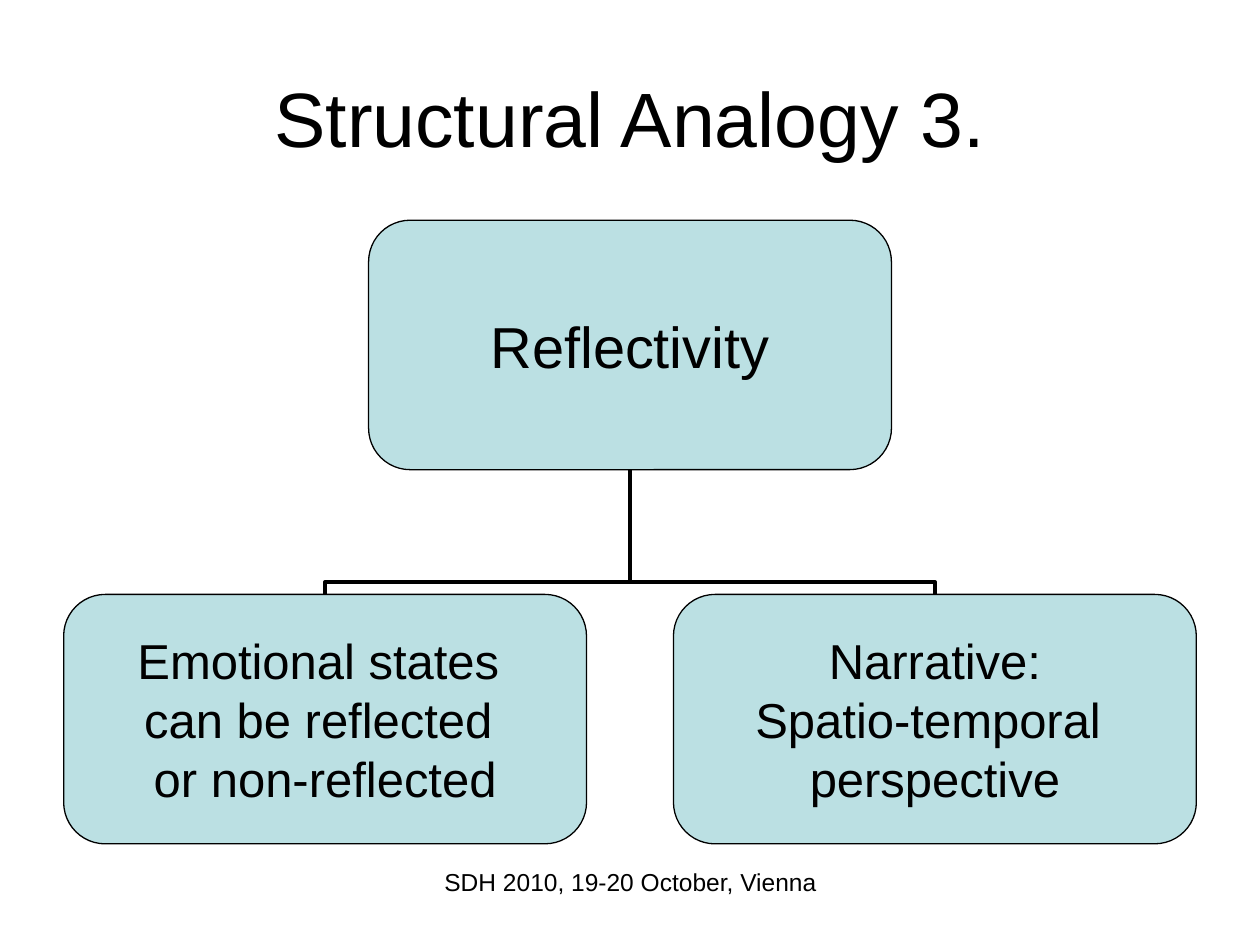
from lxml.etree import SubElement
from pptx import Presentation
from pptx.dml.color import RGBColor
from pptx.enum.shapes import MSO_CONNECTOR as Link, MSO_SHAPE as Shape
from pptx.enum.text import MSO_ANCHOR as Anchor, PP_ALIGN as Align
from pptx.oxml.ns import qn
from pptx.util import Inches, Pt


def color(hex_code):
    """Turn a hex string into a colour."""
    return RGBColor.from_string(hex_code)


class Chart:
    """Style and current slide of a small hierarchy diagram."""

    font, ink, fill = "Arial", "000000", "BBE0E3"
    box_width, box_height = 0.415, 0.264

    def __init__(self, deck):
        """Start a slide with a title only."""
        self.width, self.height = deck.slide_width, deck.slide_height
        self.slide = deck.slides.add_slide(deck.slide_layouts[5])

    def area(self, left, top, width, height):
        """Convert shares of the slide into lengths."""
        return (int(left * self.width), int(top * self.height),
                int(width * self.width), int(height * self.height))

    def label(self, frame, text, size, margins=(0.1, 0.05), wrap=True):
        """Fill a frame with centred paragraphs in the slide's style."""
        frame.text = text
        frame.word_wrap = wrap
        frame.margin_left = frame.margin_right = Inches(margins[0])
        frame.margin_top = frame.margin_bottom = Inches(margins[1])
        for paragraph in frame.paragraphs:
            paragraph.alignment = Align.CENTER
            for run in paragraph.runs:
                run.font.name, run.font.size = self.font, Pt(size)
                run.font.color.rgb = color(self.ink)

    def title(self, text):
        """Place the slide title."""
        heading = self.slide.shapes.title
        heading.left, heading.top, heading.width, heading.height = self.area(
            0.05, 0.04, 0.9, 1 / 6)
        self.label(heading.text_frame, text, 44)
        heading.text_frame.vertical_anchor = Anchor.MIDDLE

    def footer(self, text):
        """Place the event line at the bottom centre."""
        event = self.slide.shapes.add_textbox(*self.area(0.342, 0.911, 0.317, 0.069))
        self.label(event.text_frame, text, 14)

    def node(self, center, top, text, size):
        """Add a rounded box centred on a share of the width."""
        box = self.slide.shapes.add_shape(Shape.ROUNDED_RECTANGLE, *self.area(
            center - self.box_width / 2, top, self.box_width, self.box_height))
        box.shadow.inherit = False
        box.fill.solid()
        box.fill.fore_color.rgb = color(self.fill)
        box.line.color.rgb = color(self.ink)
        box.line.width = Pt(0.75)
        self.label(box.text_frame, text, size, (0, 0), wrap=False)
        box.text_frame.vertical_anchor = Anchor.MIDDLE
        return box

    def branch(self, child, parent, bend=0.098):
        """Join a child's top to its parent's bottom with an elbow."""
        start_x, end_x = (box.left + box.width // 2 for box in (child, parent))
        start_y, end_y = child.top, parent.top + parent.height
        rise, run = start_y - end_y, abs(end_x - start_x)
        elbow = self.slide.shapes.add_connector(Link.ELBOW, start_x, start_y, end_x, end_y)
        elbow.begin_connect(child, 0)
        elbow.end_connect(parent, 2)
        elbow.left = (start_x + end_x - rise) // 2
        elbow.top = (start_y + end_y - run) // 2
        elbow.width, elbow.height = rise, run
        elbow.line.color.rgb = color(self.ink)
        elbow.line.width = Pt(2.25)
        properties = elbow._element.spPr
        turn = properties.find(qn("a:xfrm"))
        turn.set("rot", str(270 * 60000))
        turn.set("flipH", "0")
        turn.set("flipV", str(int(start_x > end_x)))
        geometry = properties.find(qn("a:prstGeom"))
        adjustments = geometry.find(qn("a:avLst"))
        if adjustments is None:
            adjustments = SubElement(geometry, qn("a:avLst"))
        SubElement(adjustments, qn("a:gd"), name="adj1", fmla=f"val {round(bend * 100000)}")
        SubElement(properties, qn("a:effectLst"))


def main():
    """Build and save the slide."""
    deck = Presentation()
    deck.slide_width, deck.slide_height = Inches(10), Inches(7.5)
    chart = Chart(deck)
    chart.footer("SDH 2010, 19-20 October, Vienna")
    chart.title("Structural Analogy 3.")
    reflectivity = chart.node(0.5, 0.233, "Reflectivity", 33)
    aspects = [
        (0.258, "Emotional states \ncan be reflected \nor non-reflected"),
        (0.742, "Narrative:\nSpatio-temporal \nperspective"),
    ]
    for center, text in aspects:
        chart.branch(chart.node(center, 0.629, text, 28), reflectivity)
    deck.save("out.pptx")


if __name__ == "__main__":
    main()
